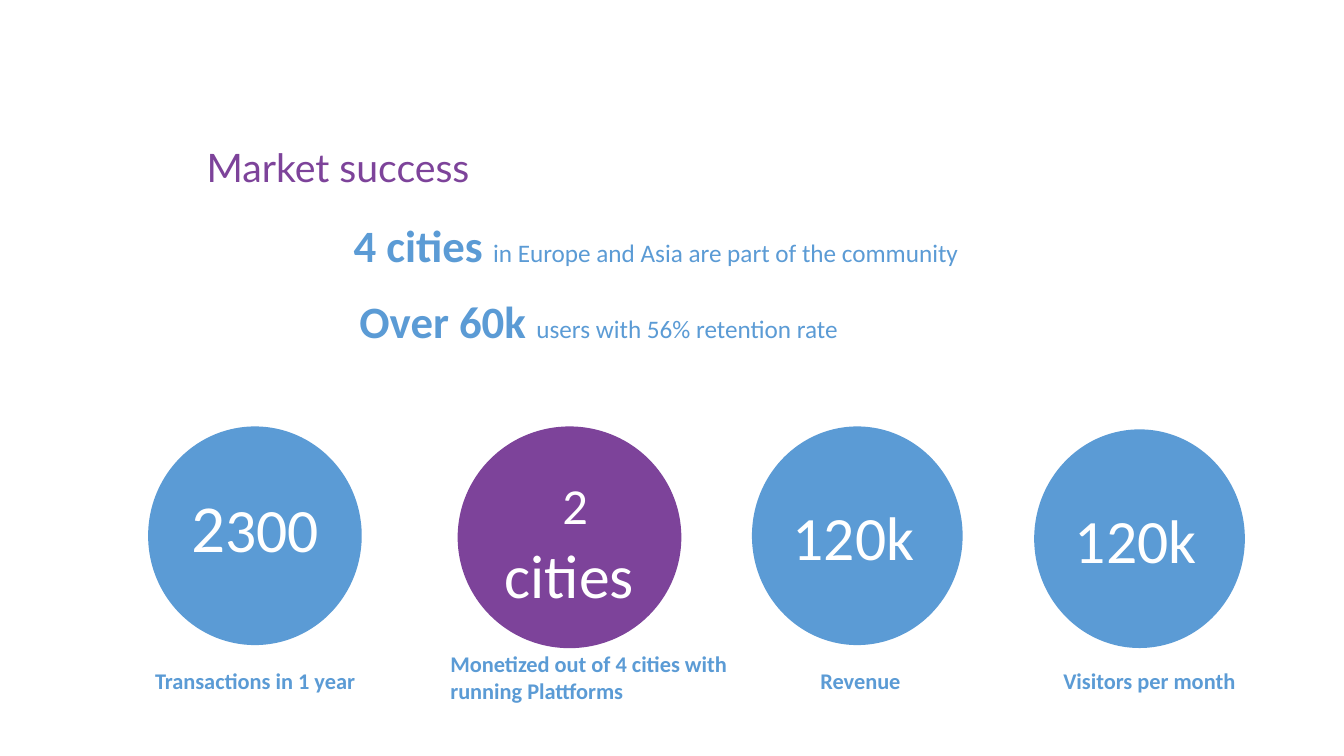
from dataclasses import dataclass
from pptx import Presentation
from pptx.dml.color import RGBColor as RGB
from pptx.enum.shapes import MSO_SHAPE as Shape
from pptx.enum.text import MSO_ANCHOR as Anchor, MSO_AUTO_SIZE as AutoSize, PP_ALIGN as Align
from pptx.util import Pt


@dataclass(frozen=True)
class Theme:
    blue: RGB = RGB(0x5B, 0x9B, 0xD5)
    purple: RGB = RGB(0x7D, 0x43, 0x9A)
    white: RGB = RGB(0xFF, 0xFF, 0xFF)
    heading_font: str = "Lato"
    body_font: str = "Calibri"
    title: int = 28
    lead: int = 32
    body: int = 18
    caption: int = 16
    figure_large: int = 48
    figure: int = 44
    figure_small: int = 36


class SlideBuilder:
    def __init__(self, prs, theme):
        self.theme = theme
        self.s = prs.slides.add_slide(prs.slide_layouts[5])

    def fill_text(self, tf, pieces, color, font, align, anchor=Anchor.TOP):
        tf.word_wrap = True
        tf.auto_size = AutoSize.NONE
        tf.vertical_anchor = anchor
        p = tf.paragraphs[0]
        p.alignment = align
        for text, size, bold in pieces:
            r = p.add_run()
            r.text = text
            r.font.size = Pt(size)
            r.font.bold = bold
            r.font.name = font
            r.font.color.rgb = color

    def title(self, text, x, y, w, h):
        sp = self.s.shapes.title
        sp.left, sp.top, sp.width, sp.height = Pt(x), Pt(y), Pt(w), Pt(h)
        t = self.theme
        self.fill_text(sp.text_frame, [(text, t.title, False)], t.purple, t.heading_font, Align.LEFT)

    def text(self, pieces, x, y, w, h, align=Align.LEFT):
        sp = self.s.shapes.add_textbox(Pt(x), Pt(y), Pt(w), Pt(h))
        self.fill_text(sp.text_frame, pieces, self.theme.blue, self.theme.body_font, align)

    def statement(self, lead, rest, x, y, w, h, align=Align.LEFT):
        t = self.theme
        self.text([(lead, t.lead, True), (rest, t.body, False)], x, y, w, h, align)

    def caption(self, text, x, y, w, h, align=Align.LEFT):
        self.text([(text, self.theme.caption, True)], x, y, w, h, align)

    def circle(self, pieces, x, y, w, h, fill, align=Align.CENTER, bottom=3.6):
        sp = self.s.shapes.add_shape(Shape.OVAL, Pt(x), Pt(y), Pt(w), Pt(h))
        sp.shadow.inherit = False
        sp.fill.solid()
        sp.fill.fore_color.rgb = fill
        sp.line.fill.background()
        tf = sp.text_frame
        tf.margin_bottom = Pt(bottom)
        runs = [(text, size, False) for text, size in pieces]
        self.fill_text(tf, runs, self.theme.white, self.theme.body_font, align, Anchor.MIDDLE)


def main():
    prs = Presentation()
    prs.slide_width, prs.slide_height = Pt(960), Pt(540)
    t = Theme()
    s = SlideBuilder(prs, t)

    s.title("Market success", 140.4, 98.6, 442.8, 41)
    s.statement("4 cities ", "in Europe and Asia are part of the community",
                245.5, 152, 456.5, 67.7)
    s.statement("Over 60k ", "users with 56% retention rate",
                245.5, 206.6, 364.3, 46, Align.CENTER)

    s.circle([("2", t.figure_large), ("300", t.figure)],
             105.8, 304.6, 152.6, 156.2, t.blue, bottom=18)
    s.circle([(" 2", t.figure_small), (" cities", t.figure)],
             326.9, 304.6, 159.8, 158.4, t.purple)
    for x, y in ((537.1, 304.6), (738.7, 306.7)):
        s.circle([("120k", t.figure)], x, y, 150.5, 156.2, t.blue, Align.LEFT)

    s.caption("Transactions in 1 year", 78.5, 473, 207.4, 26.6, Align.CENTER)
    s.caption("Monetized out of 4 cities with running Plattforms", 314.6, 460.8, 215.3, 46)
    s.caption("Revenue", 578.9, 473, 125.3, 26.6)
    s.caption("Visitors per month", 752.4, 473, 159, 26.6)

    prs.save("out.pptx")


if __name__ == "__main__":
    main()
